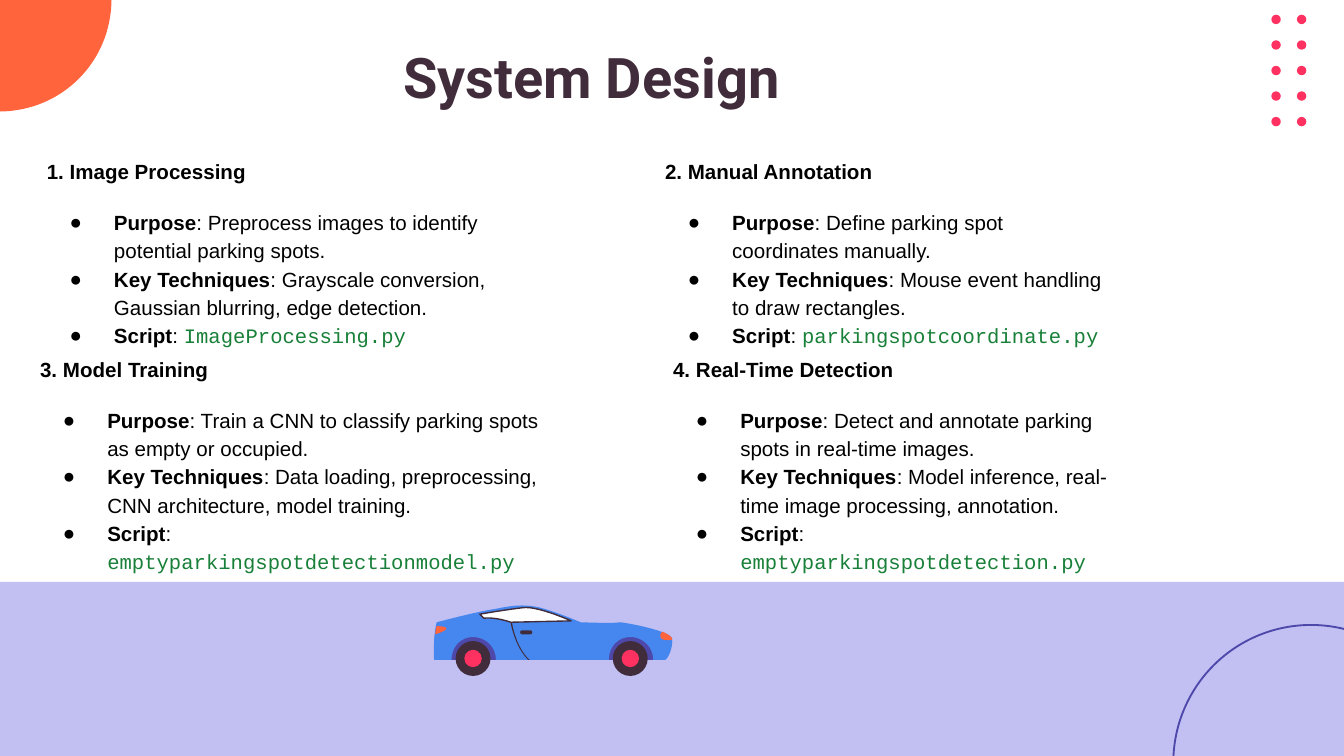
"""Build the System Design slide: four pipeline stages above a parked car."""
from dataclasses import dataclass

from lxml import etree
from pptx import Presentation
from pptx.dml.color import RGBColor
from pptx.enum.shapes import MSO_SHAPE
from pptx.enum.text import MSO_ANCHOR
from pptx.oxml.ns import qn
from pptx.util import Inches, Pt

OVAL = MSO_SHAPE.OVAL
RECTANGLE = MSO_SHAPE.RECTANGLE
ROUNDED = MSO_SHAPE.ROUNDED_RECTANGLE
MIDDLE = MSO_ANCHOR.MIDDLE


@dataclass(frozen=True)
class Theme:
    lilac: str = "C2BFF2"
    orange: str = "FF643D"
    pink: str = "FF3161"
    indigo: str = "4E48AB"
    plum: str = "412C3B"
    blue: str = "4587EF"
    white: str = "FFFFFF"
    black: str = "000000"
    green: str = "188038"
    title_font: str = "Roboto"
    body_font: str = "Arial"
    code_font: str = "Courier New"
    title_size: float = 30
    body_size: float = 11


theme = Theme()


def paint(shape, color):
    shape.shadow.inherit = False
    shape.fill.solid()
    shape.fill.fore_color.rgb = RGBColor.from_string(color)
    shape.line.fill.background()
    return shape


def trace(shapes, start, segments, color, steps=12):
    points = [start]
    for segment in segments:
        if len(segment) == 2:
            points.append(segment)
            continue
        x0, y0 = points[-1]
        x1, y1, x2, y2, x3, y3 = segment
        for step in range(1, steps + 1):
            t = step / steps
            u = 1 - t
            a, b, c, d = u**3, 3 * u * u * t, 3 * u * t * t, t**3
            points.append((a * x0 + b * x1 + c * x2 + d * x3,
                           a * y0 + b * y1 + c * y2 + d * y3))
    corners = [(Inches(x), Inches(y)) for x, y in points]
    builder = shapes.build_freeform(*corners[0])
    builder.add_line_segments(corners[1:], close=True)
    return paint(builder.convert_to_shape(), color)


deck = Presentation()
deck.slide_width = Inches(10)
deck.slide_height = Inches(10) * 9 // 16
page = deck.slides.add_slide(deck.slide_layouts[6])
shapes = page.shapes

paint(shapes.add_shape(RECTANGLE, Inches(-0.02), Inches(4.33), Inches(10.04), Inches(1.3)),
      theme.lilac)
trace(shapes, (0.83, -0.01), [(0.83, 0.46, 0.46, 0.83, -0.01, 0.83), (-0.01, -0.01)],
      theme.orange, 32)

dots = shapes.add_group_shape().shapes
for row in range(5):
    for column in range(2):
        paint(dots.add_shape(OVAL, Inches(9.46 + 0.19 * column), Inches(0.11 + 0.19 * row),
                             Inches(0.07), Inches(0.07)), theme.pink)

ring = shapes.add_shape(OVAL, Inches(8.73), Inches(4.65), Inches(2.05), Inches(2.05))
ring.shadow.inherit = False
ring.fill.background()
ring.line.color.rgb = RGBColor.from_string(theme.indigo)
ring.line.width = Pt(1)

box = shapes.add_textbox(Inches(0.93), Inches(0.25), Inches(8.43), Inches(0.63))
frame = box.text_frame
frame.word_wrap = True
frame.vertical_anchor = MIDDLE
frame.margin_left = Inches(2.07)
frame.margin_top = frame.margin_right = frame.margin_bottom = Inches(0.1)
span = frame.paragraphs[0].add_run()
span.text = "System Design"
span.font.name = theme.title_font
span.font.size = Pt(theme.title_size)
span.font.bold = True
span.font.color.rgb = RGBColor.from_string(theme.plum)

car = shapes.add_group_shape().shapes
paint(car.add_shape(RECTANGLE, Inches(3.32), Inches(4.69), Inches(1.55), Inches(0.22)),
      theme.indigo)
trace(car, (5, 4.75), [
    (4.98, 4.69, 4.64, 4.63, 4.61, 4.63), (4.59, 4.64, 4.32, 4.63, 4.32, 4.63),
    (4.32, 4.63, 4.18, 4.57, 4.08, 4.54), (3.94, 4.49, 3.83, 4.5, 3.69, 4.53),
    (3.55, 4.55, 3.25, 4.63, 3.25, 4.63), (3.22, 4.73, 3.23, 4.91, 3.23, 4.91),
    (3.36, 4.91), (3.36, 4.81, 3.43, 4.74, 3.52, 4.74), (3.61, 4.74, 3.69, 4.81, 3.69, 4.91),
    (4.53, 4.91), (4.53, 4.81, 4.6, 4.74, 4.69, 4.74), (4.78, 4.74, 4.86, 4.81, 4.86, 4.91),
    (4.95, 4.91), (4.98, 4.89, 5.01, 4.8, 5, 4.75)], theme.blue)
for center in (3.52, 4.69):
    for size, color in ((0.26, theme.plum), (0.13, theme.pink)):
        paint(car.add_shape(OVAL, Inches(center - size / 2), Inches(4.9 - size / 2),
                            Inches(size), Inches(size)), color)
trace(car, (3.25, 4.66), [
    (3.24, 4.68, 3.24, 4.7, 3.24, 4.72), (3.24, 4.72, 3.31, 4.7, 3.32, 4.68),
    (3.33, 4.66, 3.25, 4.66, 3.25, 4.66)], theme.orange)
trace(car, (5, 4.75), [
    (4.99, 4.73, 4.97, 4.72, 4.93, 4.7), (4.93, 4.7, 4.9, 4.72, 4.92, 4.75),
    (4.94, 4.77, 4.99, 4.76, 5, 4.76)], theme.orange)
trace(car, (3.93, 4.91), [
    (3.83, 4.81, 3.8, 4.64, 3.8, 4.63), (3.81, 4.63),
    (3.81, 4.64, 3.84, 4.82, 3.94, 4.91)], theme.plum)
handle = car.add_shape(ROUNDED, Inches(3.87), Inches(4.69), Inches(0.09), Inches(0.03))
handle.adjustments[0] = 0.5
paint(handle, theme.plum)
window = trace(car, (3.57, 4.57), [
    (3.57, 4.57, 3.8, 4.53, 3.91, 4.52), (4.03, 4.52, 4.25, 4.62, 4.25, 4.62),
    (3.8, 4.63), (3.8, 4.63, 3.69, 4.59, 3.6, 4.6)], theme.white)
window.line.color.rgb = RGBColor.from_string(theme.plum)
window.line.width = Pt(0.75)

stages = [
    (0.25, 1.11, 3.47, "1. Image Processing",
     "Preprocess images to identify potential parking spots.",
     "Grayscale conversion, Gaussian blurring, edge detection.", "ImageProcessing.py"),
    (4.85, 1.11, 3.47, "2. Manual Annotation",
     "Define parking spot coordinates manually.",
     "Mouse event handling to draw rectangles.", "parkingspotcoordinate.py"),
    (0.2, 2.58, 3.97, "3. Model Training",
     "Train a CNN to classify parking spots as empty or occupied.",
     "Data loading, preprocessing, CNN architecture, model training.",
     "emptyparkingspotdetectionmodel.py"),
    (4.91, 2.58, 3.56, "4. Real-Time Detection",
     "Detect and annotate parking spots in real-time images.",
     "Model inference, real-time image processing, annotation.",
     "emptyparkingspotdetection.py"),
]
for left, top, width, heading, purpose, techniques, script in stages:
    box = shapes.add_textbox(Inches(left), Inches(top), Inches(width), Inches(1.78))
    frame = box.text_frame
    frame.word_wrap = True
    lines = [(heading, "", ""), ("Purpose", ": " + purpose, ""),
             ("Key Techniques", ": " + techniques, ""), ("Script", ": ", script)]
    for index, (label, detail, code) in enumerate(lines):
        para = frame.add_paragraph() if index else frame.paragraphs[0]
        para.line_spacing = 1.15
        para.space_before = Pt(12 if index == 1 else 0)
        if index:
            props = para._p.get_or_add_pPr()
            props.set("marL", str(Inches(0.5)))
            props.set("indent", str(Inches(-0.33)))
            tint = etree.SubElement(props, qn("a:buClr"))
            etree.SubElement(tint, qn("a:srgbClr"), val=theme.black)
            etree.SubElement(props, qn("a:buFont"), typeface=theme.body_font)
            etree.SubElement(props, qn("a:buChar"), char="●")
        for text, bold, font, color in (
                (label, True, theme.body_font, theme.black),
                (detail, False, theme.body_font, theme.black),
                (code, False, theme.code_font, theme.green)):
            if text:
                span = para.add_run()
                span.text = text
                span.font.name = font
                span.font.size = Pt(theme.body_size)
                span.font.bold = bold
                span.font.color.rgb = RGBColor.from_string(color)

deck.save("out.pptx")
